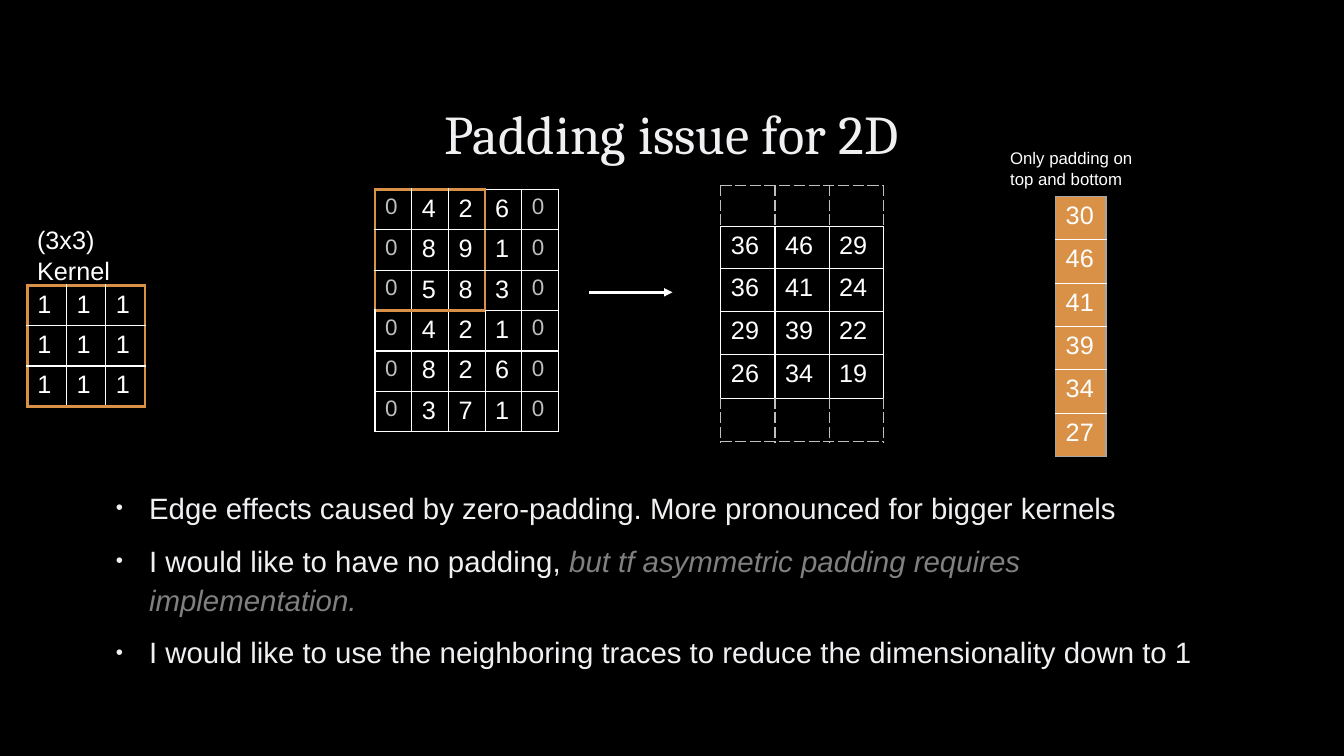
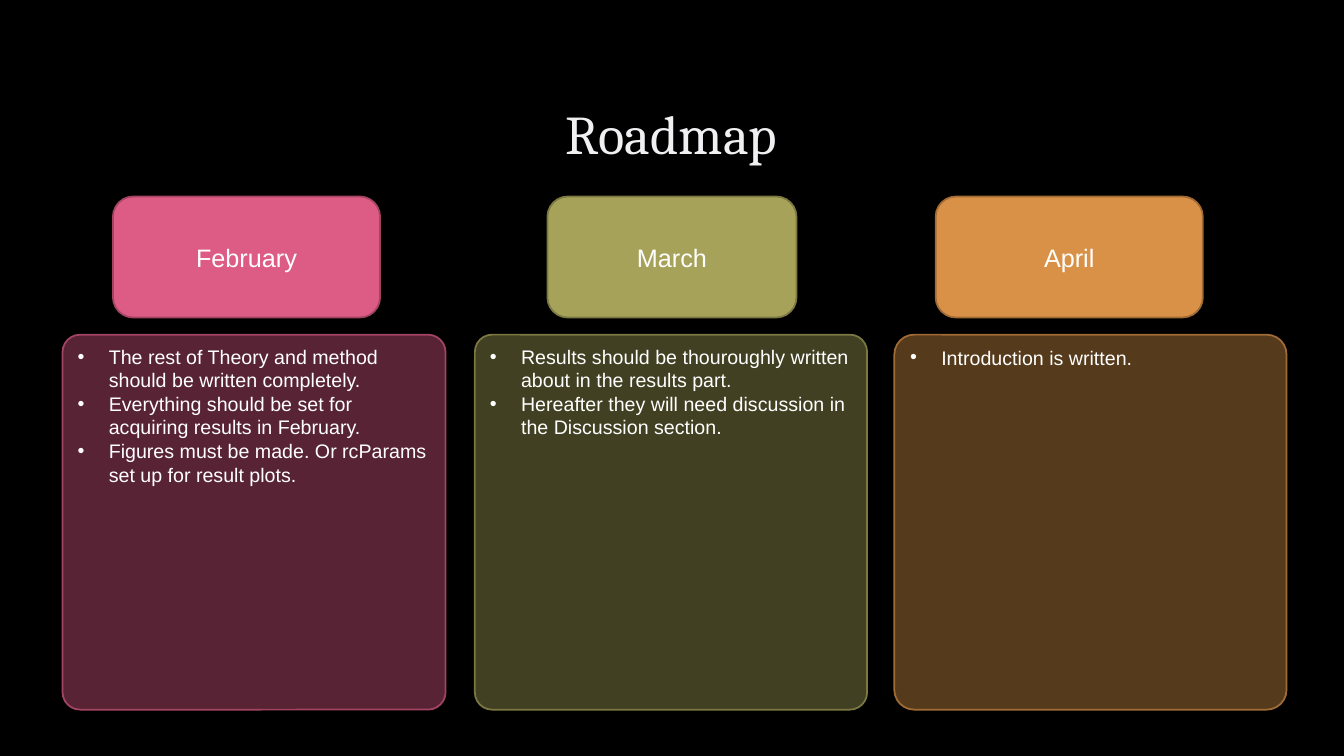
from pptx import Presentation
from pptx.util import Inches, Pt
from pptx.dml.color import RGBColor
from pptx.enum.shapes import MSO_SHAPE as Shape, MSO_CONNECTOR as Link
from pptx.enum.text import PP_ALIGN as Align, MSO_ANCHOR as Anchor
from pptx.oxml.ns import qn
from lxml.etree import SubElement

HUES = {
    "back": "000000", "title": "F0F0F3", "white": "FFFFFF", "pale": "BFBFBF",
    "grey": "A6A6A6", "dim": "808080",
    "pink": "DD5C85", "plum": "A34462",
    "olive": "A7A259", "moss": "7C7842",
    "orange": "D99147", "brown": "A16B35",
}
RGB = {name: RGBColor.from_string(code) for name, code in HUES.items()}


def write(frame, lines, size, hue="white", font="Arial", align=Align.LEFT,
          indent=None, hang=None, scale=100):
    frame.word_wrap = True
    frame.text = "\n".join(lines)
    for para in frame.paragraphs:
        para.alignment = align
        for run in para.runs:
            run.font.size = Pt(size)
            run.font.name = font
            run.font.color.rgb = RGB[hue]
        if indent:
            props = para._p.get_or_add_pPr()
            props.set("marL", str(Inches(indent)))
            props.set("indent", str(-Inches(hang)))
            SubElement(props, qn("a:buSzPct"), val=str(scale * 1000))
            SubElement(props, qn("a:buFont"), typeface="Arial")
            SubElement(props, qn("a:buChar"), char="•")


def grid(slide, left, top, width, heights, rows, marks, fill=None):
    count = len(rows[0])
    table = slide.shapes.add_table(
        len(rows), count, Inches(left), Inches(top),
        Inches(width), Inches(sum(heights))).table
    table.first_row = table.horz_banding = False
    for col in table.columns:
        col.width = Inches(width / count)
    for r, row in enumerate(rows):
        table.rows[r].height = Inches(heights[r])
        for c, text in enumerate(row):
            cell = table.cell(r, c)
            zero = text == "0"
            write(cell.text_frame, [text], 16 if zero else 18,
                  "pale" if zero else "white")
            props = cell._tc.get_or_add_tcPr()
            edges = {"L": ("v", r, c), "R": ("v", r, c + 1),
                     "T": ("h", r, c), "B": ("h", r + 1, c)}
            for side, edge in edges.items():
                hue, weight, dash = marks.get(edge, ("white", 1, "solid"))
                line = SubElement(props, qn("a:ln" + side), w=str(Pt(weight)))
                solid = SubElement(line, qn("a:solidFill"))
                SubElement(solid, qn("a:srgbClr"), val=HUES[hue])
                SubElement(line, qn("a:prstDash"), val=dash)
            if fill:
                cell.fill.solid()
                cell.fill.fore_color.rgb = RGB[fill]
            else:
                cell.fill.background()


deck = Presentation()
deck.slide_width, deck.slide_height = Inches(13.33), Inches(7.5)
back = deck.slide_master.background.fill
back.solid()
back.fore_color.rgb = RGB["back"]

slides = []
for title in ["Padding issue for 2D", "Roadmap"]:
    slide = deck.slides.add_slide(deck.slide_layouts[6])
    frame = slide.shapes.add_textbox(
        Inches(1), Inches(0.67), Inches(11.32), Inches(1.38)).text_frame
    frame.vertical_anchor = Anchor.MIDDLE
    write(frame, [title], 39, "title", "Cambria", Align.CENTER)
    frame.paragraphs[0].line_spacing = 0.9
    slides.append(slide)
pad, road = slides

bold = ("orange", 2.25, "solid")
dash = ("pale", 1, "sysDash")
rim = ("grey", 1, "solid")
window = {(way, a, b): bold for n in range(3)
          for way, a, b in [("h", 0, n), ("h", 3, n), ("v", n, 0), ("v", n, 3)]}
ghost = {("h", r, c): dash for r in (0, 6) for c in range(3)}
ghost.update({("v", r, c): dash for r in (0, 5) for c in range(4)})
frame_rim = {("v", r, c): rim for r in range(6) for c in (0, 1)}
frame_rim.update({("h", r, 0): rim for r in (0, 6)})

data = ["426", "891", "583", "421", "826", "371"]
grid(pad, 3.72, 1.88, 1.82, [0.4] * 6, ["0" + row + "0" for row in data], window)
sums = [[""] * 3, ["36", "46", "29"], ["36", "41", "24"],
        ["29", "39", "22"], ["26", "34", "19"], [""] * 3]
grid(pad, 7.15, 1.84, 1.61, [0.41] * 2 + [0.43] * 4, sums, ghost)
grid(pad, 0.27, 2.83, 1.17, [0.4] * 3, ["111"] * 3, window)
final = [[text] for text in ["30", "46", "41", "39", "34", "27"]]
grid(pad, 10.47, 1.95, 0.5, [0.43] * 6, final, frame_rim, "orange")

arrow = pad.shapes.add_connector(
    Link.STRAIGHT, Inches(5.84), Inches(2.9), Inches(6.67), Inches(2.9))
arrow.line.color.rgb = RGB["white"]
arrow.line.width = Pt(2)
SubElement(arrow.line._get_or_add_ln(), qn("a:tailEnd"), type="triangle")
SubElement(arrow._element.spPr, qn("a:effectLst"))

labels = [
    (0.27, 2.18, 1.17, 0.71, 18, ["(3x3)", "Kernel"]),
    (9.92, 1.42, 1.59, 0.5, 12, ["Only padding on top and bottom"]),
]
for left, top, width, height, size, lines in labels:
    box = pad.shapes.add_textbox(
        Inches(left), Inches(top), Inches(width), Inches(height))
    write(box.text_frame, lines, size)

notes = pad.shapes.add_textbox(
    Inches(1), Inches(4.78), Inches(11.32), Inches(2.34)).text_frame
write(notes, [
    "Edge effects caused by zero-padding. More pronounced for bigger kernels",
    "I would like to have no padding, ",
    "I would like to use the neighboring traces to reduce the dimensionality down to 1",
], 21, "title", indent=0.38, hang=0.33, scale=70)
for para in notes.paragraphs:
    para.line_spacing = 1.1
    para.space_before, para.space_after = Pt(4), Pt(6)
aside = notes.paragraphs[1].add_run()
aside.text = "but tf asymmetric padding requires implementation."
aside.font.size = Pt(21)
aside.font.name = "Arial"
aside.font.italic = True
aside.font.color.rgb = RGB["dim"]

months = [
    ("February", "pink", "plum", 1.12, 2.65, 0.62, 3.8, 0.047, [
        "The rest of Theory and method should be written completely.",
        "Everything should be set for acquiring results in February.",
        "Figures must be made. Or rcParams set up for result plots."]),
    ("March", "olive", "moss", 5.43, 2.47, 4.71, 3.89, 0.046, [
        "Results should be thouroughly written about in the results part.",
        "Hereafter they will need discussion in the Discussion section."]),
    ("April", "orange", "brown", 9.28, 2.65, 8.87, 3.89, 0.053, [
        "Introduction is written."]),
]
for month, hue, edge, x, width, left, span, curve, tasks in months:
    head = road.shapes.add_shape(
        Shape.ROUNDED_RECTANGLE, Inches(x), Inches(1.95), Inches(width), Inches(1.2))
    panel = road.shapes.add_shape(
        Shape.ROUNDED_RECTANGLE, Inches(left), Inches(3.32), Inches(span), Inches(3.72))
    panel.adjustments[0] = curve
    for card in (head, panel):
        card.shadow.inherit = False
        card.fill.solid()
        card.fill.fore_color.rgb = RGB[hue]
        card.line.color.rgb = RGB[edge]
        card.line.width = Pt(1.25)
    tint = panel._element.spPr.find(qn("a:solidFill")).find(qn("a:srgbClr"))
    SubElement(tint, qn("a:alpha"), val="40000")
    head.text_frame.vertical_anchor = Anchor.MIDDLE
    write(head.text_frame, [month], 18, align=Align.CENTER)
    panel.text_frame.vertical_anchor = Anchor.TOP
    write(panel.text_frame, tasks, 14, indent=0.31, hang=0.31)

deck.save("out.pptx")
